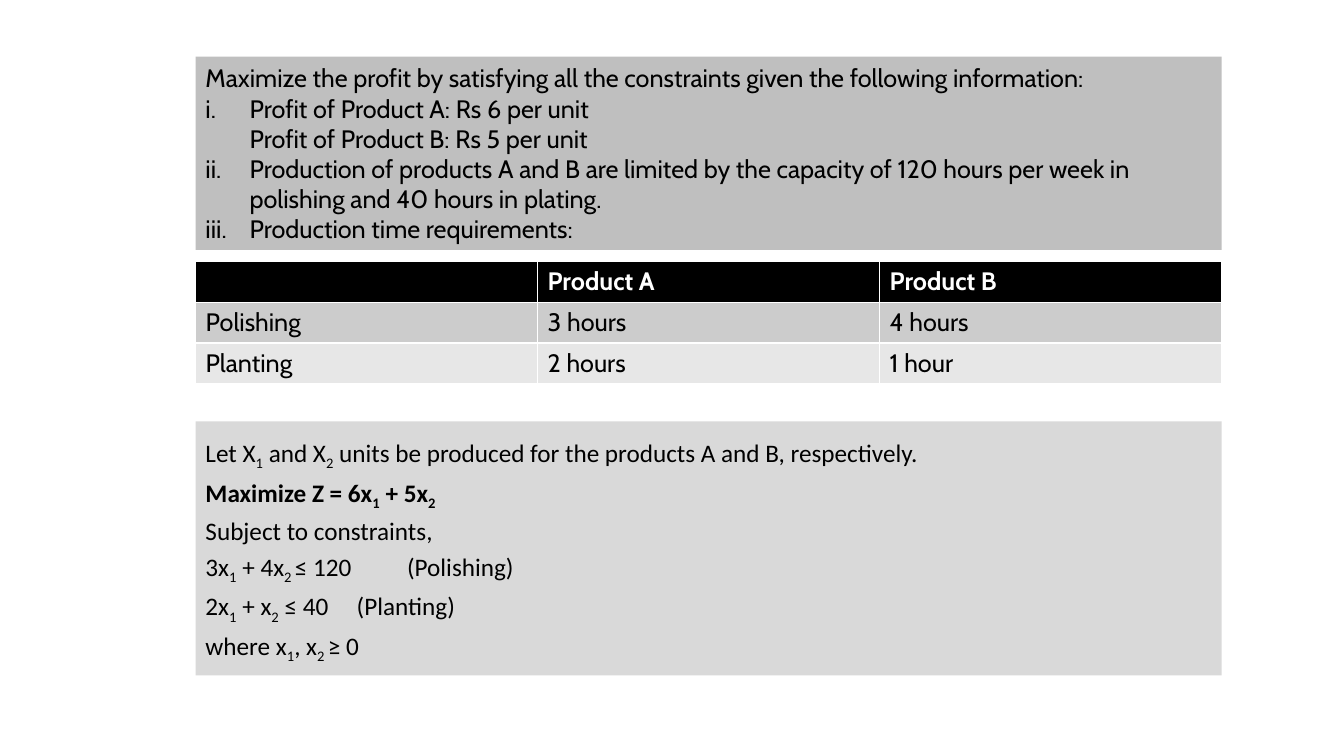
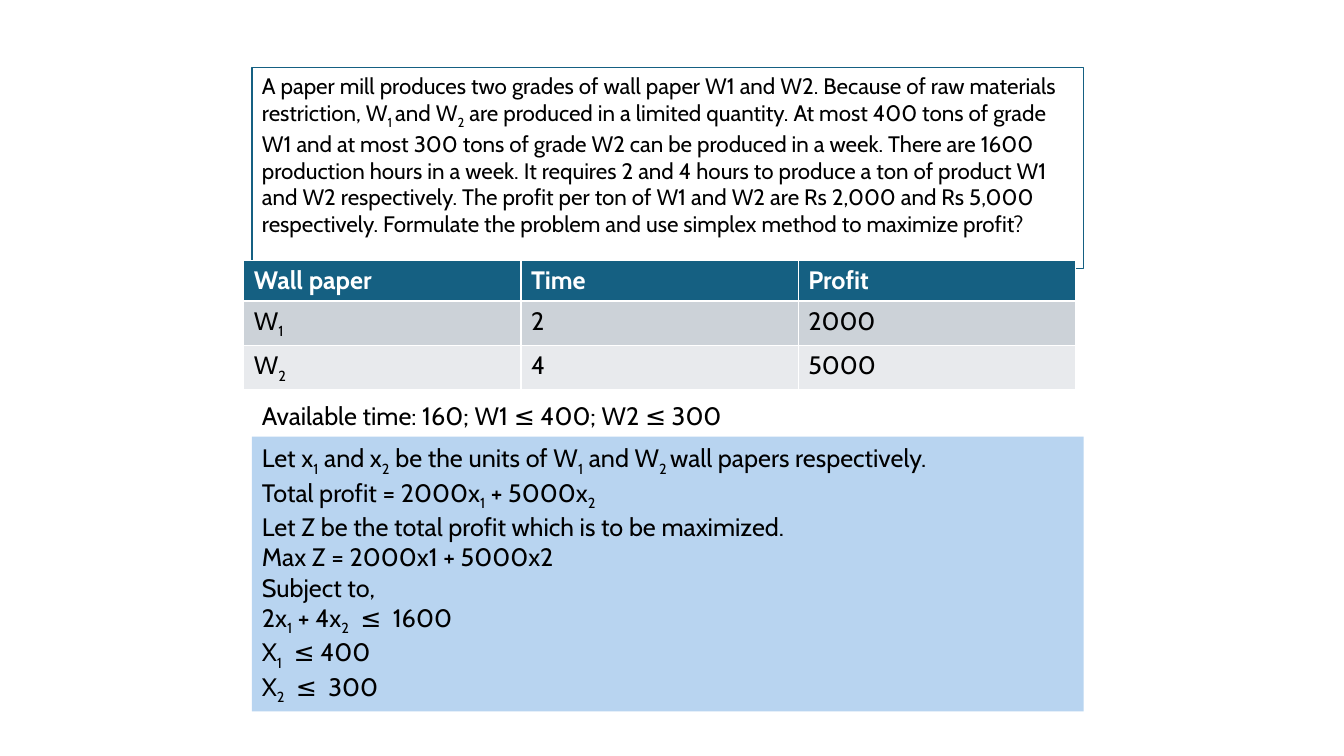
from lxml import etree
from pptx import Presentation
from pptx.dml.color import RGBColor
from pptx.enum import shapes, text
from pptx.oxml.ns import qn
from pptx.util import Pt

COLOURS = {
    "black": "000000", "white": "FFFFFF", "teal": "156082", "blue": "B8D4F0",
    "mid grey": "BFBFBF", "light grey": "D9D9D9",
    "grey row": "CCCCCC", "pale grey row": "E7E7E7",
    "teal row": "CCD2D8", "pale teal row": "E8EAED",
}


def colour(name):
    return RGBColor.from_string(COLOURS[name])


def write(text_frame, paragraphs, font="Cabin", size=18, ink="black", bold=False):
    for number, content in enumerate(paragraphs):
        paragraph = text_frame.add_paragraph() if number else text_frame.paragraphs[0]
        paragraph.alignment = text.PP_ALIGN.LEFT
        for line_number, line in enumerate(content.split("\n")):
            if line_number:
                paragraph.add_line_break()
            for part_number, part in enumerate(line.split("~")):
                if not part:
                    continue
                run = paragraph.add_run()
                run.text = part
                run.font.name = font
                run.font.size = Pt(size)
                run.font.bold = bold
                run.font.color.rgb = colour(ink)
                if part_number % 2:
                    run.font._element.set("baseline", "-25000")


presentation = Presentation()
presentation.slide_width = Pt(960)
presentation.slide_height = Pt(540)
blank_layout = presentation.slide_layouts[6]
product_slide = presentation.slides.add_slide(blank_layout)
paper_slide = presentation.slides.add_slide(blank_layout)

product_left, product_width = 139.7, 733
paper_left, paper_width = 180, 594

boxes = [
    (product_slide, "question", product_left, 40.4, product_width, 138.2, "mid grey", "Cabin", 18, [
        "Maximize the profit by satisfying all the constraints given the following information:",
        "Profit of Product A: Rs 6 per unit\nProfit of Product B: Rs 5 per unit",
        "Production of products A and B are limited by the capacity of 120 hours per week in "
        "polishing and 40 hours in plating.",
        "Production time requirements:",
    ]),
    (product_slide, "model", product_left, 301, product_width, 181.4, "light grey", "Calibri", 18, [
        "Let X~1~ and X~2~ units be produced for the products A and B, respectively.",
        "Maximize Z = 6x~1~ + 5x~2~\nSubject to constraints,\n"
        "3x~1~ + 4x~2 ~≤ 120 \t(Polishing)\n2x~1~ + x~2~ ≤ 40 \t(Planting)\n"
        "where x~1~, x~2 ~≥ 0",
    ]),
    (paper_slide, "problem", paper_left, 48.2, paper_width, 143.3, None, "Cabin", 16, [
        "A paper mill produces two grades of wall paper W1 and W2. Because of raw materials "
        "restriction, W~1 ~and W~2~ are produced in a limited quantity. At most 400 tons of grade "
        "W1 and at most 300 tons of grade W2 can be produced in a week. There are 1600 production "
        "hours in a week. It requires 2 and 4 hours to produce a ton of product W1 and W2 "
        "respectively. The profit per ton of W1 and W2 are Rs 2,000 and Rs 5,000 respectively. "
        "Formulate the problem and use simplex method to maximize profit?",
    ]),
    (paper_slide, "limits", paper_left, 282.4, paper_width, 29, None, "Cabin", 18, [
        "Available time: 160; W1 ≤ 400; W2 ≤ 300",
    ]),
    (paper_slide, "solution", paper_left, 311.8, paper_width, 196.4, "blue", "Cabin", 18, [
        "Let x~1~ and x~2~ be the units of W~1~ and W~2 ~wall papers respectively.",
        "Total profit = 2000x~1~ + 5000x~2~",
        "Let Z be the total profit which is to be maximized.",
        "Max Z = 2000x1 + 5000x2",
        "Subject to,",
        "2x~1~ + 4x~2~  ≤  1600",
        "X~1~  ≤ 400",
        "X~2~  ≤  300",
    ]),
]

frames = {}
for slide, name, left, top, width, height, fill, font, size, paragraphs in boxes:
    place = Pt(left), Pt(top), Pt(width), Pt(height)
    if name == "limits":
        shape = slide.shapes.add_textbox(*place)
    else:
        shape = slide.shapes.add_shape(shapes.MSO_SHAPE.RECTANGLE, *place)
        shape.shadow.inherit = False
        if fill:
            shape.fill.solid()
            shape.fill.fore_color.rgb = colour(fill)
            shape.line.fill.background()
        else:
            shape.fill.background()
            shape.line.color.rgb = colour("teal")
            shape.line.width = Pt(0.75)
    frame = frames[name] = shape.text_frame
    frame.word_wrap = True
    frame.vertical_anchor = text.MSO_ANCHOR.MIDDLE if fill else text.MSO_ANCHOR.TOP
    write(frame, paragraphs, font, size)

for paragraph in frames["question"].paragraphs[1:]:
    properties = paragraph._p.get_or_add_pPr()
    properties.set("marL", str(Pt(31.5)))
    properties.set("indent", str(-Pt(31.5)))
    etree.SubElement(properties, qn("a:buAutoNum"), type="romanLcPeriod")

for paragraph in frames["model"].paragraphs:
    paragraph.line_spacing = 1.15
for run in frames["model"].paragraphs[1].runs[:4]:
    run.font.bold = True

tables = [
    (product_slide, product_left, 186.6, product_width, ["black", "grey row", "pale grey row"], [
        ["", "Product A", "Product B"],
        ["Polishing", "3 hours", "4 hours"],
        ["Planting", "2 hours", "1 hour"],
    ]),
    (paper_slide, 174.2, 185.8, paper_width, ["teal", "teal row", "pale teal row"], [
        ["Wall paper", "Time", "Profit"],
        ["W~1~", "2", "2000"],
        ["W~2~", "4", "5000"],
    ]),
]

for slide, left, top, width, fills, rows in tables:
    table = slide.shapes.add_table(
        len(rows), len(rows[0]), Pt(left), Pt(top), Pt(width), Pt(29.2 * len(rows))).table
    for row_number, (fill, row) in enumerate(zip(fills, rows)):
        header = row_number == 0
        for column_number, content in enumerate(row):
            cell = table.cell(row_number, column_number)
            cell.fill.solid()
            cell.fill.fore_color.rgb = colour(fill)
            write(cell.text_frame, [content], ink="white" if header else "black", bold=header)

presentation.save("out.pptx")
